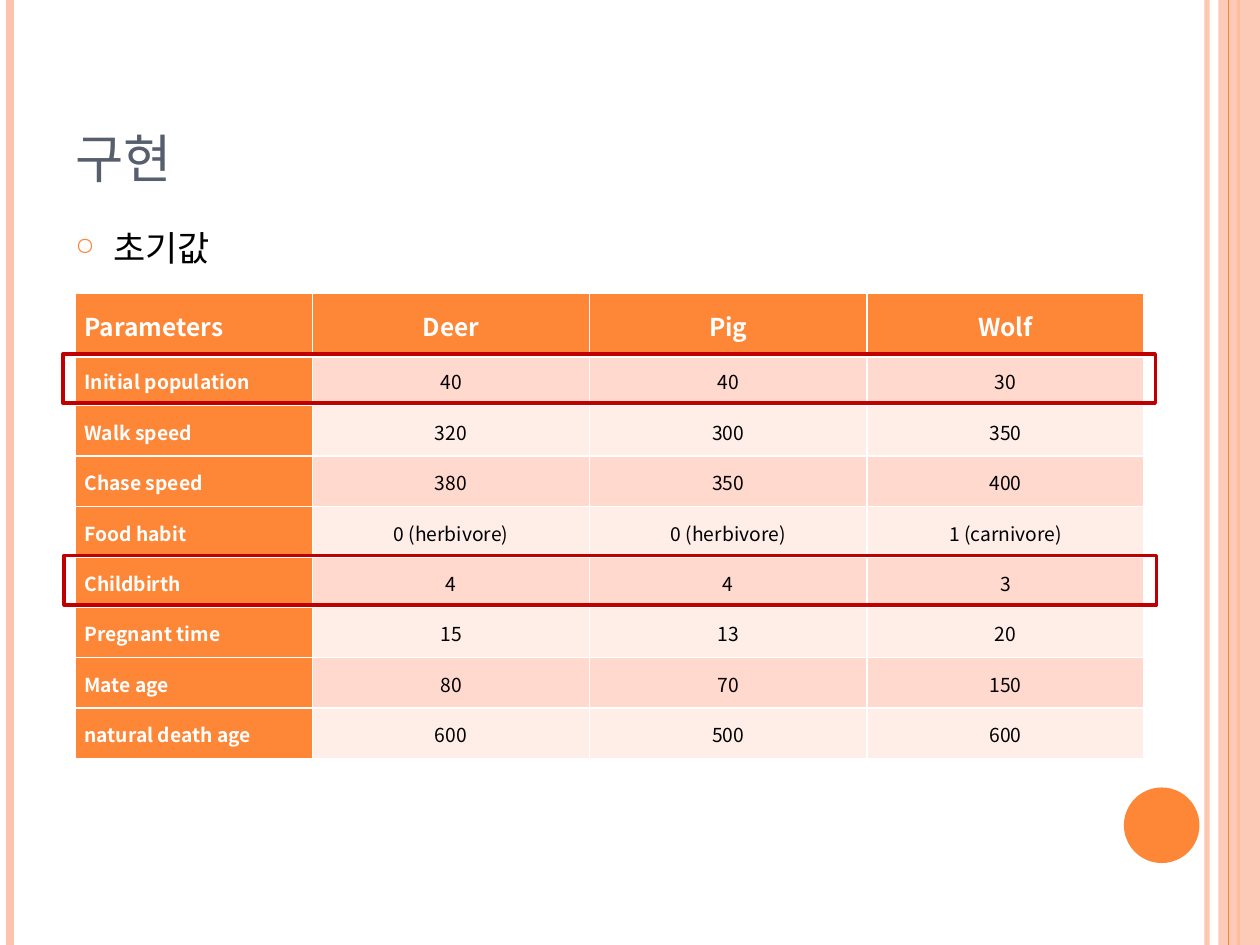
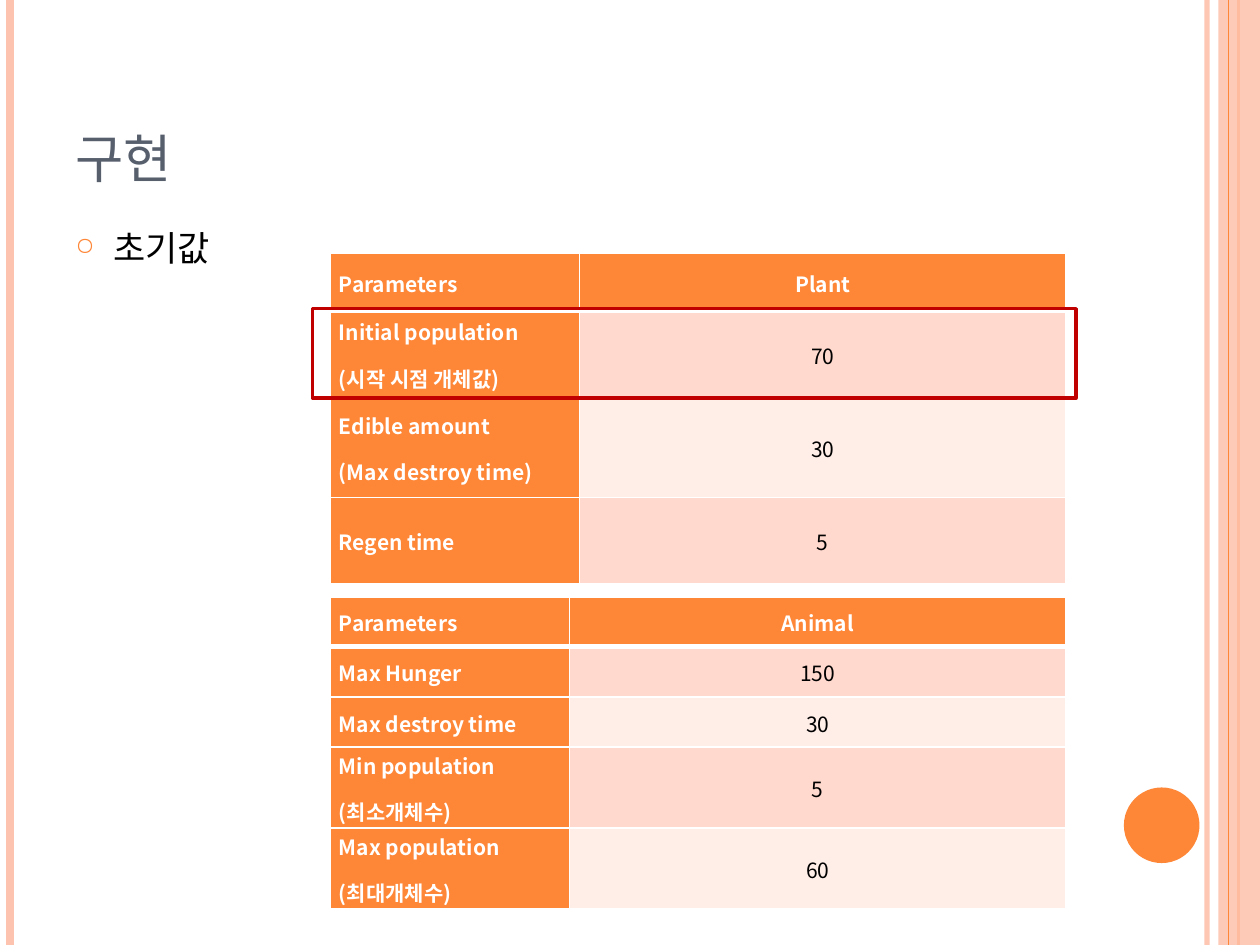
from lxml.etree import SubElement
from pptx import Presentation
from pptx.dml.color import RGBColor
from pptx.enum.shapes import MSO_CONNECTOR as Connector, MSO_SHAPE as Shape
from pptx.enum.text import MSO_ANCHOR as Anchor, PP_ALIGN as Align
from pptx.oxml.ns import qn
from pptx.util import Inches, Pt

FONT = "Noto Sans CJK KR"
ORANGE, PEACH, WHITE, BLACK = "FE8637", "FEC3AE", "FFFFFF", "000000"
SLATE, RED = "575F6D", "C00000"
STRIPES = ("FFD9CE", "FFEDE8")
EDGE_LINES = ((9.58, PEACH, 3, 93), (0.08, PEACH, 4.5, 100), (9.83, ORANGE, 1.5, 100))
BAND_LINE = (9.75, ORANGE, 0.75, 100)

ANIMAL_ROWS = [
    ("Parameters", "Deer", "Pig", "Wolf"),
    ("Initial population", "40", "40", "30"),
    ("Walk speed", "320", "300", "350"),
    ("Chase speed", "380", "350", "400"),
    ("Food habit", "0 (herbivore)", "0 (herbivore)", "1 (carnivore)"),
    ("Childbirth", "4", "4", "3"),
    ("Pregnant time", "15", "13", "20"),
    ("Mate age", "80", "70", "150"),
    ("natural death age", "600", "500", "600"),
]
PLANT_ROWS = [
    ("Parameters", "Plant"),
    ("Initial population\n(시작 시점 개체값)", "70"),
    ("Edible amount\n(Max destroy time)", "30"),
    ("Regen time", "5"),
]
LIMIT_ROWS = [
    ("Parameters", "Animal"),
    ("Max Hunger", "150"),
    ("Max destroy time", "30"),
    ("Min population\n(최소개체수)", "5"),
    ("Max population\n(최대개체수)", "60"),
]


def rgb(hex_color):
    return RGBColor.from_string(hex_color)


def set_font(paragraph, size, color, bold=False):
    font = paragraph.font
    font.size = Pt(size)
    font.bold = bold
    font.color.rgb = rgb(color)
    font.name = FONT
    SubElement(font._element, qn("a:ea"), typeface=FONT)


def set_alpha(shape, percent):
    color = next(shape._element.spPr.iter(qn("a:srgbClr")))
    SubElement(color, qn("a:alpha"), val=str(percent * 1000))


def add_vertical(slide, x, color, width, opacity):
    line = slide.shapes.add_connector(
        Connector.STRAIGHT, Inches(x), Inches(0), Inches(x), Inches(7.5))
    line.line.color.rgb = rgb(color)
    line.line.width = Pt(width)
    SubElement(line._element.spPr, qn("a:effectLst"))
    if opacity < 100:
        set_alpha(line, opacity)


def add_filled(slide, kind, box, color):
    shape = slide.shapes.add_shape(kind, *map(Inches, box))
    shape.shadow.inherit = False
    shape.fill.solid()
    shape.fill.fore_color.rgb = rgb(color)
    shape.line.fill.background()
    return shape


def add_highlight(slide, *box):
    frame = slide.shapes.add_shape(Shape.RECTANGLE, *map(Inches, box))
    frame.shadow.inherit = False
    frame.fill.background()
    frame.line.color.rgb = rgb(RED)
    frame.line.width = Pt(2)


def add_text(slide, text, box, anchor):
    frame = slide.shapes.add_textbox(*map(Inches, box)).text_frame
    frame.word_wrap = True
    frame.vertical_anchor = anchor
    frame.text = text
    return frame.paragraphs[0]


def add_bullet(paragraph):
    props = paragraph._p.get_or_add_pPr()
    props.set("marL", str(Inches(0.3)))
    props.set("indent", str(-Inches(0.3)))
    SubElement(SubElement(props, qn("a:buClr")), qn("a:srgbClr"), val=ORANGE)
    SubElement(props, qn("a:buSzPct"), val="70000")
    SubElement(props, qn("a:buChar"), char="○")


def add_borders(cell, top, bottom):
    props = cell._tc.get_or_add_tcPr()
    for side, width in (("L", 1), ("R", 1), ("T", top), ("B", bottom)):
        line = SubElement(props, qn(f"a:ln{side}"), w=str(Pt(width)))
        SubElement(SubElement(line, qn("a:solidFill")), qn("a:srgbClr"), val=WHITE)


def fill_cell(cell, text, row, column, size):
    is_label = row == 0 or column == 0
    add_borders(cell, top=3 if row == 1 else 1, bottom=3 if row == 0 else 1)
    cell.fill.solid()
    cell.fill.fore_color.rgb = rgb(ORANGE if is_label else STRIPES[(row - 1) % 2])
    cell.vertical_anchor = Anchor.MIDDLE
    cell.margin_left = cell.margin_right = Inches(0.07)
    cell.margin_top = cell.margin_bottom = 0
    cell.text = text
    for paragraph in cell.text_frame.paragraphs:
        paragraph.alignment = Align.CENTER if column else Align.JUSTIFY
        paragraph.line_spacing = 1.07
        paragraph.space_after = Pt(8)
        set_font(paragraph, size, WHITE if is_label else BLACK, is_label)


def add_parameters(slide, rows, left, top, widths, heights, header_size, body_size):
    table = slide.shapes.add_table(
        len(rows), len(widths), Inches(left), Inches(top),
        Inches(sum(widths)), Inches(sum(heights))).table
    for column, width in zip(table.columns, widths):
        column.width = Inches(width)
    for row, height in zip(table.rows, heights):
        row.height = Inches(height)
    for r, texts in enumerate(rows):
        for c, text in enumerate(texts):
            fill_cell(table.cell(r, c), text, r, c, body_size if r else header_size)


def add_page(deck):
    slide = deck.slides.add_slide(deck.slide_layouts[6])
    for edge in EDGE_LINES:
        add_vertical(slide, *edge)
    band = add_filled(slide, Shape.RECTANGLE, (9.67, 0, 0.33, 7.5), PEACH)
    set_alpha(band, 87)
    add_vertical(slide, *BAND_LINE)
    add_filled(slide, Shape.OVAL, (8.92, 6.25, 0.6, 0.6), ORANGE)
    title = add_text(slide, "구현", (0.5, 0.3, 8.17, 1.25), Anchor.BOTTOM)
    set_font(title, 30, SLATE)
    topic = add_text(slide, "초기값", (0.5, 1.75, 8.17, 5.33), Anchor.TOP)
    add_bullet(topic)
    set_font(topic, 20, BLACK)
    return slide


def main():
    deck = Presentation()
    deck.slide_width, deck.slide_height = Inches(10), Inches(7.5)

    animals = add_page(deck)
    add_parameters(animals, ANIMAL_ROWS, 0.6, 2.33,
                   [1.88] + [2.2] * 3, [0.49] + [0.4] * 8, 14, 11)
    add_highlight(animals, 0.5, 2.81, 8.67, 0.39)
    add_highlight(animals, 0.51, 4.41, 8.67, 0.39)

    limits = add_page(deck)
    add_parameters(limits, PLANT_ROWS, 2.62, 2.01,
                   [1.98, 3.86], [0.46, 0.68, 0.8, 0.68], 12, 12)
    add_parameters(limits, LIMIT_ROWS, 2.62, 4.74,
                   [1.9, 3.94], [0.39, 0.4, 0.4, 0.64, 0.64], 12, 12)
    add_highlight(limits, 2.48, 2.45, 6.06, 0.71)

    deck.save("out.pptx")


if __name__ == "__main__":
    main()
